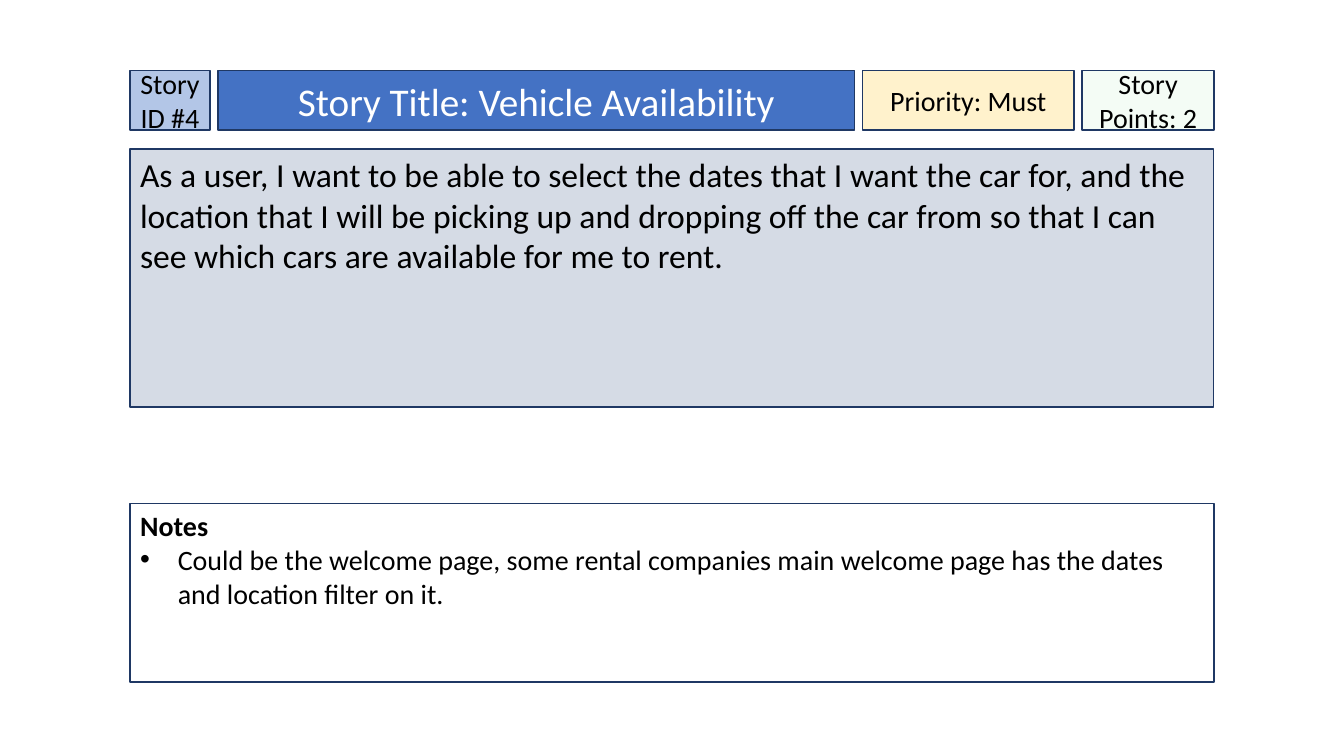
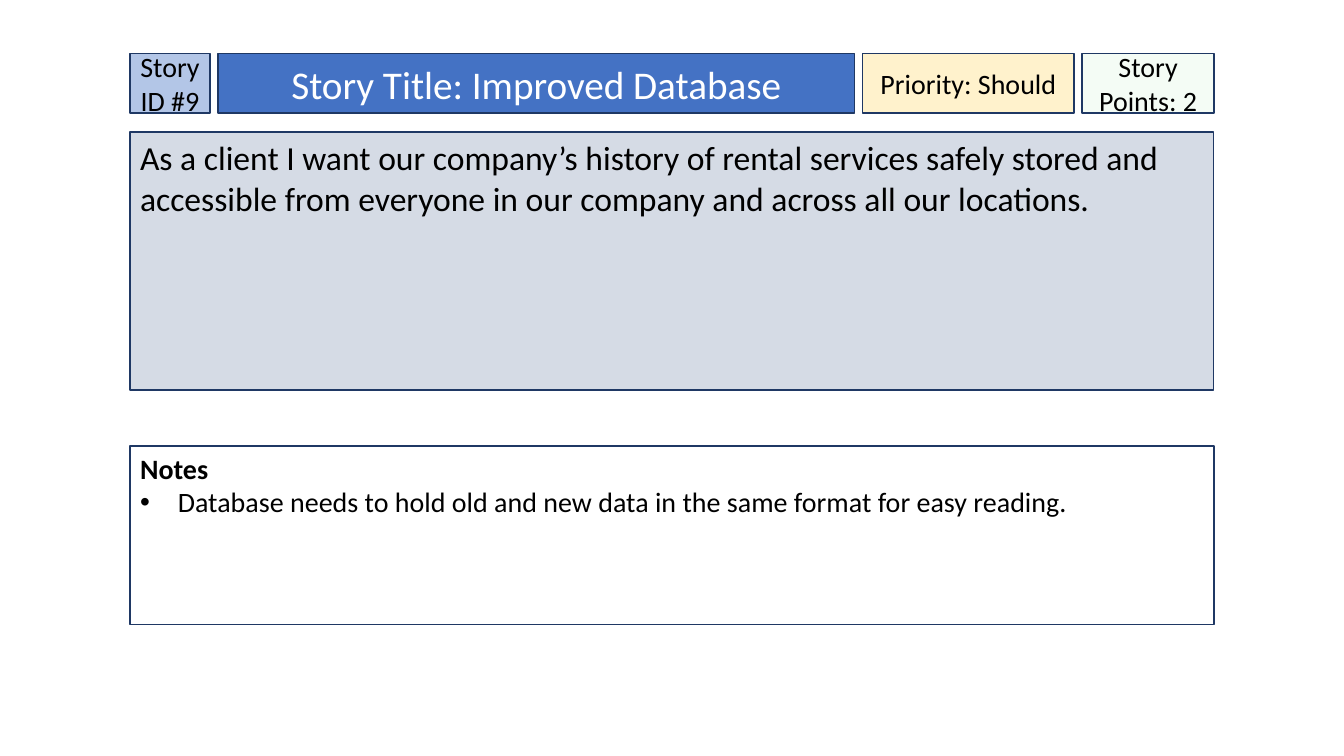
import pptx
import pptx.util
import pptx.dml.color
import pptx.enum.shapes
import pptx.enum.text
import pptx.oxml
import pptx.oxml.ns
import lxml.etree

Cm, Pt = pptx.util.Cm, pptx.util.Pt
qn = pptx.oxml.ns.qn
align = pptx.enum.text.PP_ALIGN
anchor = pptx.enum.text.MSO_ANCHOR

# Shared card style
navy, black, white = "1F3864", "000000", "FFFFFF"
left, gap = 3.28, 0.2
row = 1.5
full = 27.31


def hue(code):
    return pptx.dml.color.RGBColor.from_string(code)


def style(box, area, fill, lines, size, ink=black, side=0.25, mid=False):
    """Place a box, paint it and write one paragraph per line."""
    box.left, box.top, box.width, box.height = [Cm(n) for n in area]
    box.fill.solid()
    box.fill.fore_color.rgb = hue(fill)
    box.line.color.rgb = hue(navy)
    box.line.width = Pt(1)
    frame = box.text_frame
    frame.word_wrap = True
    frame.auto_size = pptx.enum.text.MSO_AUTO_SIZE.NONE
    frame.vertical_anchor = anchor.MIDDLE if mid else anchor.TOP
    frame.margin_left = frame.margin_right = Cm(side)
    frame.margin_top = frame.margin_bottom = Cm(0.13)
    for i, line in enumerate(lines):
        para = frame.add_paragraph() if i else frame.paragraphs[0]
        para.alignment = align.CENTER if mid else align.LEFT
        para.space_before = Pt(0)
        run = para.add_run()
        run.text = line
        run.font.name = "Calibri"
        run.font.size = Pt(size)
        run.font.bold = False
        run.font.color.rgb = hue(ink)


# Story cards: top of header, top of notes, then the texts
cards = [
    (1.78, 12.69, "Story ID #4", "Story Title: Vehicle Availability",
     "Priority: Must", "Story Points: 2",
     "As a user, I want to be able to select the dates that I want the car "
     "for, and the location that I will be picking up and dropping off the "
     "car from so that I can see which cars are available for me to rent.",
     "Could be the welcome page, some rental companies main welcome page "
     "has the dates and location filter on it."),
    (1.35, 11.24, "Story ID #9", "Story Title: Improved Database",
     "Priority: Should", "Story Points: 2",
     "As a client I want our company’s history of rental services safely "
     "stored and accessible from everyone in our company and across all "
     "our locations.",
     "Database needs to hold old and new data in the same format for easy "
     "reading."),
]

deck = pptx.Presentation()
deck.slide_width, deck.slide_height = Cm(33.87), Cm(19.05)

for top, low, label, title, rank, points, story, note in cards:
    slide = deck.slides.add_slide(deck.slide_layouts[1])
    head, body = slide.placeholders

    # Header row, left to right with equal gaps
    x = left
    for text, wide, fill in [(label, 2.01, "B3C6E7"), (title, 16.05, "4472C4"),
                             (rank, 5.33, "FFF2CC"), (points, 3.33, "CCF0CD")]:
        area = (x, top, wide, row)
        if text == title:
            style(head, area, fill, [text], 28, white, mid=True)
        else:
            box = slide.shapes.add_shape(
                pptx.enum.shapes.MSO_SHAPE.RECTANGLE, 0, 0, 0, 0)
            box.shadow.inherit = False
            style(box, area, fill, [text], 20, side=0, mid=True)
        x += wide + gap

    # The points box is mostly transparent
    tint = box.fill.fore_color._xFill.find(qn("a:srgbClr"))
    lxml.etree.SubElement(tint, qn("a:alpha")).set("val", "20000")

    # Story text
    box = slide.shapes.add_shape(
        pptx.enum.shapes.MSO_SHAPE.RECTANGLE, 0, 0, 0, 0)
    box.shadow.inherit = False
    style(box, (left, top + 1.98, full, 6.5), "D5DBE5", [story], 24)

    # Notes: bold heading, then a bullet
    style(body, (left, low, full, 4.5), white, ["Notes", note], 20)
    first, item = body.text_frame.paragraphs
    first.runs[0].font.bold = True
    for para, dent, mark in [(first, 0, "a:buNone"), (item, 0.95, "a:buChar")]:
        props = para._p.get_or_add_pPr()
        props.set("marL", str(Cm(dent)))
        props.set("indent", str(-Cm(dent)))
        if dent:
            lxml.etree.SubElement(props, qn("a:buFont")).set("typeface", "Arial")
        sign = lxml.etree.SubElement(props, qn(mark))
        if dent:
            sign.set("char", "•")

deck.save("out.pptx")
